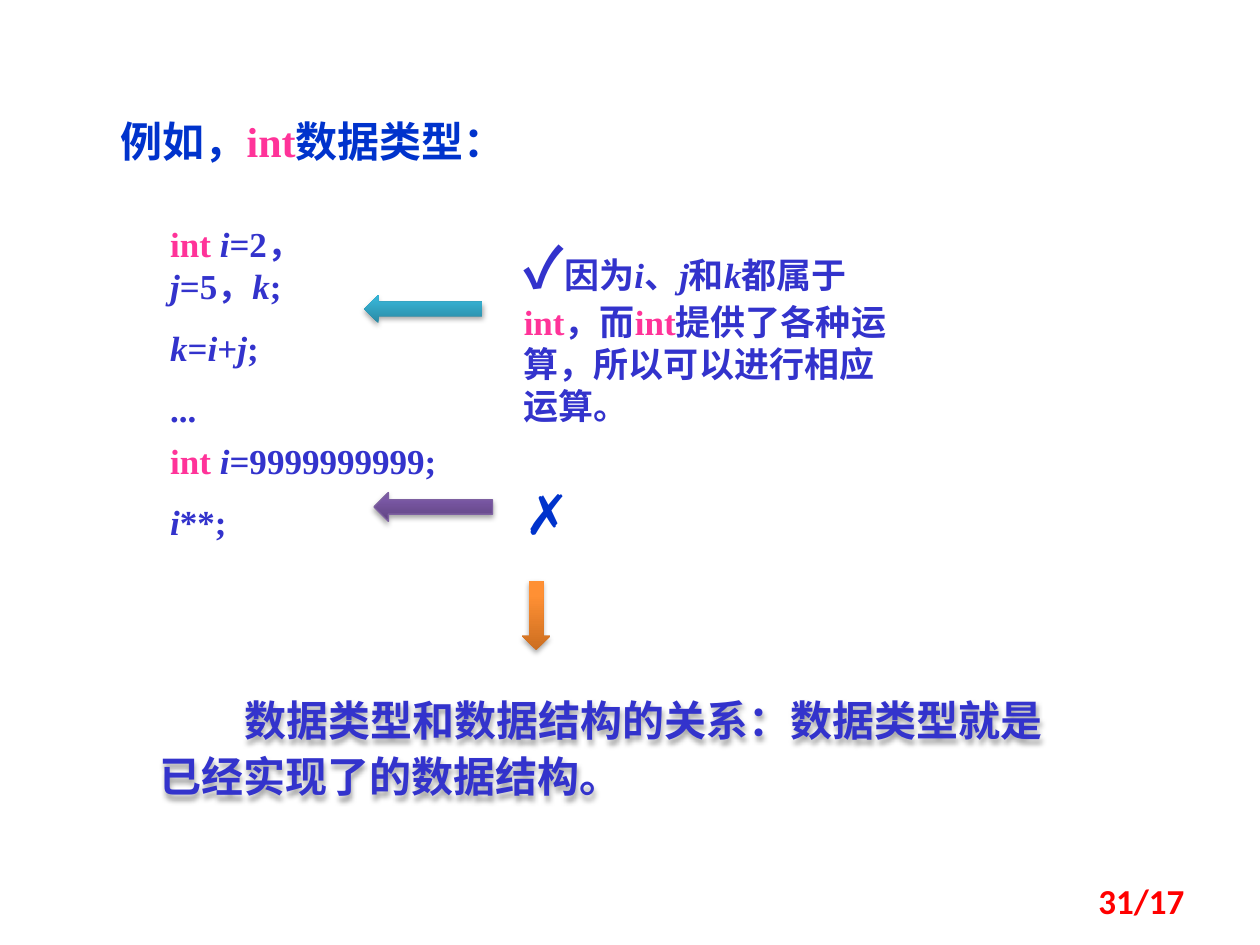
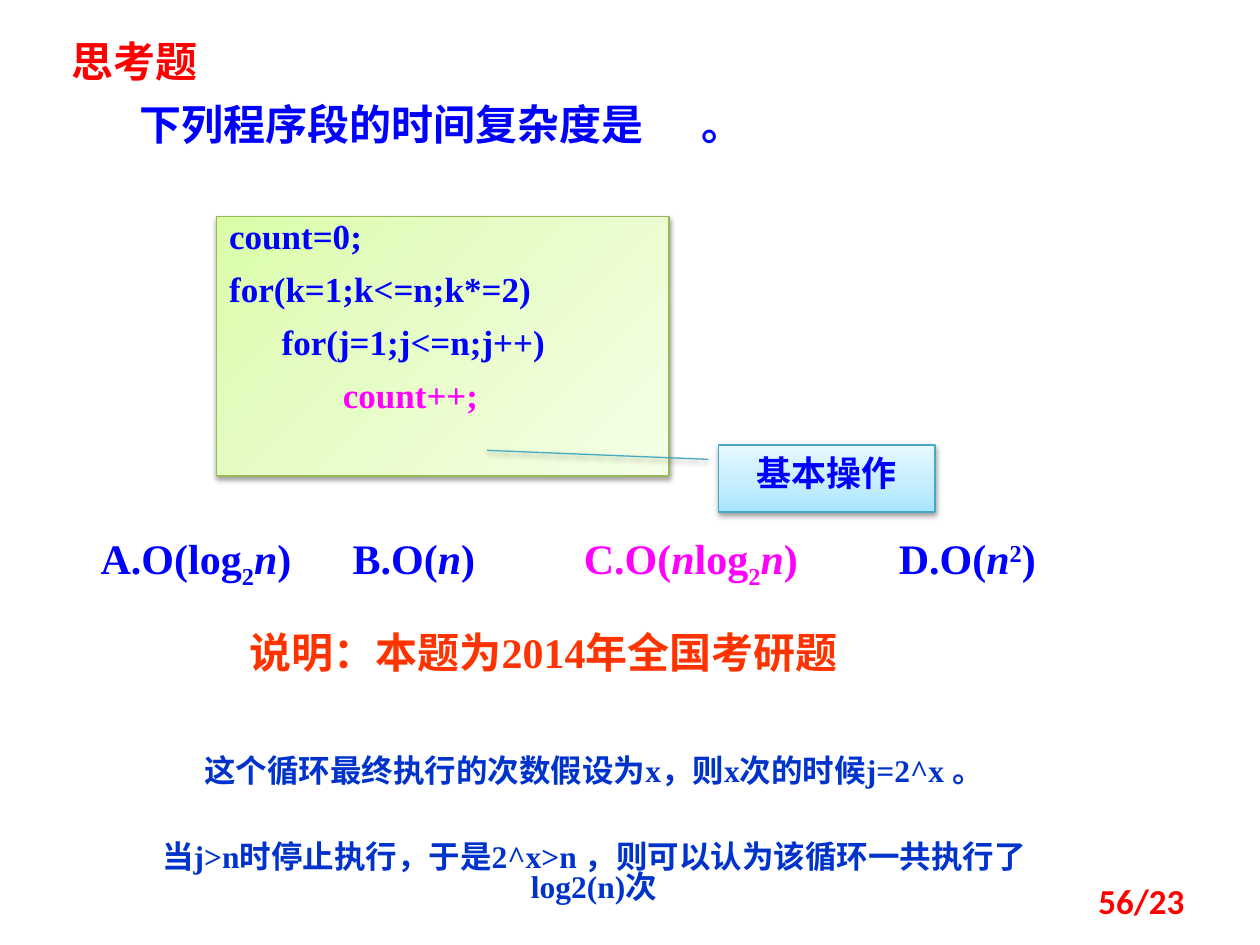
from dataclasses import dataclass

from lxml import etree
from pptx import Presentation
from pptx.dml.color import RGBColor
from pptx.enum import shapes, text
from pptx.oxml import ns
from pptx.util import Cm, Pt


@dataclass(frozen=True)
class Theme:
    serif: str = "Times New Roman"
    sans: str = "Noto Sans CJK SC"
    plain: str = "Calibri"
    red: str = "FF0000"
    pink: str = "FF3399"
    violet: str = "3333CC"
    navy: str = "0033CC"
    blue: str = "0000FF"
    hot: str = "FF00FF"
    orange: str = "FF3300"
    teal: tuple = ((0, "2A88A2"), (80, "37B1D2"), (100, "34B4D6"))
    purple: tuple = ((0, "5F4480"), (80, "7B58A6"), (100, "7C57A8"))
    amber: tuple = ((0, "CC6E20"), (80, "FF9034"), (100, "FF9136"))
    lime: tuple = ((0, "DAFDA7"), (35, "E4FCC2"), (100, "F5FFE7"))
    sky: tuple = ((0, "A7E6FF"), (35, "C1EDFF"), (100, "E7F8FF"))
    edges: tuple = ("7D60A0", "98B955", "46AAC5")
    note: int = 18
    body: int = 20
    head: int = 24
    mark: int = 32
    tight: float = 0.8


T = Theme()
KIND = shapes.MSO_SHAPE
LEFT, MID, RIGHT = text.PP_ALIGN.LEFT, text.PP_ALIGN.CENTER, text.PP_ALIGN.RIGHT


@dataclass(frozen=True)
class Box:
    x: float
    y: float
    w: float = 0
    h: float = 0

    def sub(self, dx, dy, w, h):
        return Box(self.x + dx, self.y + dy, w, h)

    def emu(self):
        return [Cm(n) for n in (self.x, self.y, self.w, self.h)]


def node(parent, tag, **attrs):
    return etree.SubElement(parent, ns.qn("a:" + tag), {k: str(v) for k, v in attrs.items()})


def it(word):
    return word, dict(italic=True)


def tint(word, color):
    return word, dict(color=color)


def add_run(para, word, size, color, font, bold=True, italic=False, under=False, base=0):
    run = para.add_run()
    run.text = word
    face = run.font
    face.size, face.bold, face.italic = Pt(size), bold, italic
    face.name = font
    face.color.rgb = RGBColor.from_string(color)
    if under:
        face.underline = True
    props = run._r.get_or_add_rPr()
    node(props, "ea", typeface=T.sans)
    if base:
        props.set("baseline", str(base * 1000))


def write(shape, paras, size=T.body, color=T.violet, font=T.serif, align=LEFT,
          lead=None, gap=None, indent=0, tabs=(), anchor=text.MSO_ANCHOR.TOP):
    frame = shape.text_frame
    frame.word_wrap = True
    frame.auto_size = text.MSO_AUTO_SIZE.NONE
    frame.vertical_anchor = anchor
    for i, parts in enumerate(paras):
        para = frame.add_paragraph() if i else frame.paragraphs[0]
        para.alignment = align
        if lead:
            para.line_spacing = lead
        para.space_before = Pt((gap or size * 0.55) if i else 0)
        props = para._p.get_or_add_pPr()
        if indent:
            props.set("indent", str(Cm(indent)))
        if tabs:
            stops = node(props, "tabLst")
            for stop in tabs:
                node(stops, "tab", pos=int(Cm(stop)), algn="l")
        for part in [parts] if isinstance(parts, str) else parts:
            word, look = (part, {}) if isinstance(part, str) else part
            add_run(para, word, **{**dict(size=size, color=color, font=font), **look})
    return shape


def label(slide, box, paras, **look):
    return write(slide.shapes.add_textbox(*box.emu()), paras, **look)


def shade(shape, alpha=35, dist=1.8):
    shape.shadow.inherit = False
    glow = shape._element.spPr.find(ns.qn("a:effectLst"))
    cast = node(glow, "outerShdw", blurRad=Pt(3.1), dist=Pt(dist), dir=5400000,
                algn="ctr", rotWithShape=0)
    node(node(cast, "srgbClr", val="000000"), "alpha", val=alpha * 1000)


def panel(slide, kind, box, stops, angle=270, edge=None, **cast):
    shape = slide.shapes.add_shape(kind, *box.emu())
    shape.fill.gradient()
    grad = shape._element.spPr.find(ns.qn("a:gradFill"))
    for child in list(grad):
        grad.remove(child)
    ramp = node(grad, "gsLst")
    for pos, color in stops:
        node(node(ramp, "gs", pos=pos * 1000), "srgbClr", val=color)
    node(grad, "lin", ang=angle * 60000, scaled=0)
    if edge:
        shape.line.color.rgb = RGBColor.from_string(edge)
        shape.line.width = Pt(0.75)
    else:
        shape.line.fill.background()
    shade(shape, **cast)
    return shape


def start(deck, box, title, page, **look):
    slide = deck.slides.add_slide(deck.slide_layouts[5])
    head = slide.shapes.title
    head.left, head.top, head.width, head.height = box.emu()
    write(head, [title], size=T.head, lead=T.tight, **look)
    label(slide, Box(18.21, 17.65, 5.92, 1.02), [page], color=T.red, font=T.plain,
          align=RIGHT, anchor=text.MSO_ANCHOR.MIDDLE)
    return slide


def valid(slide, box):
    label(slide, box.sub(0, 0, 4.57, 4.52), [
        [tint("int ", T.pink), it("i"), "=2， ", it("j"), "=5，", it("k"), ";"],
        [it("k"), "=", it("i"), "+", it("j"), ";"],
        "..."])
    label(slide, box.sub(7.13, 0.2, 7.95, 3.33), [[
        ("✓", dict(size=T.mark)), "因为", it("i"), "、", it("j"), "和", it("k"), "都属于",
        tint("int", T.pink), "，而", tint("int", T.pink),
        "提供了各种运算，所以可以进行相应运算。"]])
    panel(slide, KIND.LEFT_ARROW, box.sub(4.16, 1.57, 2.39, 0.58), T.teal)


def wrong(slide, box):
    label(slide, box.sub(0, 0, 6.93, 2.39), [
        [tint("int ", T.pink), it("i"), "=9999999999;"],
        [it("i"), "**;"]])
    label(slide, box.sub(6.75, 0.99, 2.18, 1.35), ["✗"], size=T.mark, color=T.navy,
          align=MID, lead=T.tight)
    panel(slide, KIND.LEFT_ARROW, box.sub(4.36, 1.19, 2.39, 0.58), T.purple, edge=T.edges[0])


def result(slide, box):
    panel(slide, KIND.DOWN_ARROW, box.sub(7.55, 0, 0.58, 1.4), T.amber)
    claim = label(slide, box.sub(0, 1.98, 19.05, 2.49),
                  ["数据类型和数据结构的关系：数据类型就是已经实现了的数据结构。"],
                  size=T.head, lead=Pt(32), indent=1.71)
    claim.text_frame.margin_top, claim.text_frame.margin_bottom = Cm(0.2), 0
    shade(claim)


def program(slide, box):
    code = panel(slide, KIND.RECTANGLE, box.sub(0, 0, 9.12, 5.23), T.lime, 45, T.edges[1],
                 alpha=38, dist=1.6)
    write(code, ["count=0;", "for(k=1;k<=n;k*=2)", "      for(j=1;j<=n;j++)",
                 [tint("             count++;", T.hot)]], color=T.blue, lead=T.tight)
    hint = panel(slide, KIND.LINE_CALLOUT_2, box.sub(10.11, 4.6, 4.37, 1.35), T.sky, 270,
                 T.edges[2], alpha=38, dist=1.6)
    for i, ratio in enumerate((0.216, -0.046, 0.216, -0.046, 0.081, -1.066)):
        hint.adjustments[i] = ratio
    write(hint, ["基本操作"], color=T.blue, font=T.sans, align=MID)


def choices(slide, box):
    hot = dict(color=T.hot)
    low = dict(base=-25)
    label(slide, box, [[
        "A.O(log", ("2", low), it("n"), ")\tB.O(", it("n"), ")\t",
        ("C.O(", hot), ("n", dict(hot, italic=True)), ("log", hot), ("2", {**hot, **low}),
        ("n", dict(hot, italic=True)), (")\t", hot),
        "D.O(", it("n"), ("2", dict(base=30)), ")"]],
        size=T.head, color=T.blue, lead=T.tight, tabs=(5.08, 9.74, 16.09))


def example(deck):
    slide = start(deck, Box(2.18, 2.39, 8.13, 1.07),
                  ["例如，", tint("int", T.pink), "数据类型："], "31/17", color=T.navy)
    valid(slide, Box(3.18, 4.37))
    wrong(slide, Box(3.18, 8.74))
    result(slide, Box(2.97, 11.71))


def quiz(deck):
    slide = start(deck, Box(1.19, 0.79, 17.48, 1.07), "思考题", "56/23",
                  color=T.red, font=T.sans)
    label(slide, Box(1.19, 2.06, 17.48, 1.3),
          [["下列程序段的时间复杂度是", ("\t", dict(under=True)), "。"]],
          size=T.head, color=T.blue, lead=T.tight, indent=1.37, tabs=(13.41,))
    program(slide, Box(4.37, 4.37))
    choices(slide, Box(1.78, 10.72, 20.83, 1.3))
    label(slide, Box(3.76, 12.7, 14.4, 2.41), ["说明：本题为2014年全国考研题"],
          size=T.head, color=T.orange, align=MID, lead=T.tight)
    label(slide, Box(2.64, 15.16, 18.67, 3.48),
          ["这个循环最终执行的次数假设为x，则x次的时候j=2^x 。",
           "当j>n时停止执行，于是2^x>n ，则可以认为该循环一共执行了log2(n)次"],
          size=T.note, color=T.navy, align=MID, lead=T.tight, gap=32)


def main():
    deck = Presentation()
    deck.slide_width, deck.slide_height = Cm(25.4), Cm(19.05)
    example(deck)
    quiz(deck)
    deck.save("out.pptx")


if __name__ == "__main__":
    main()
